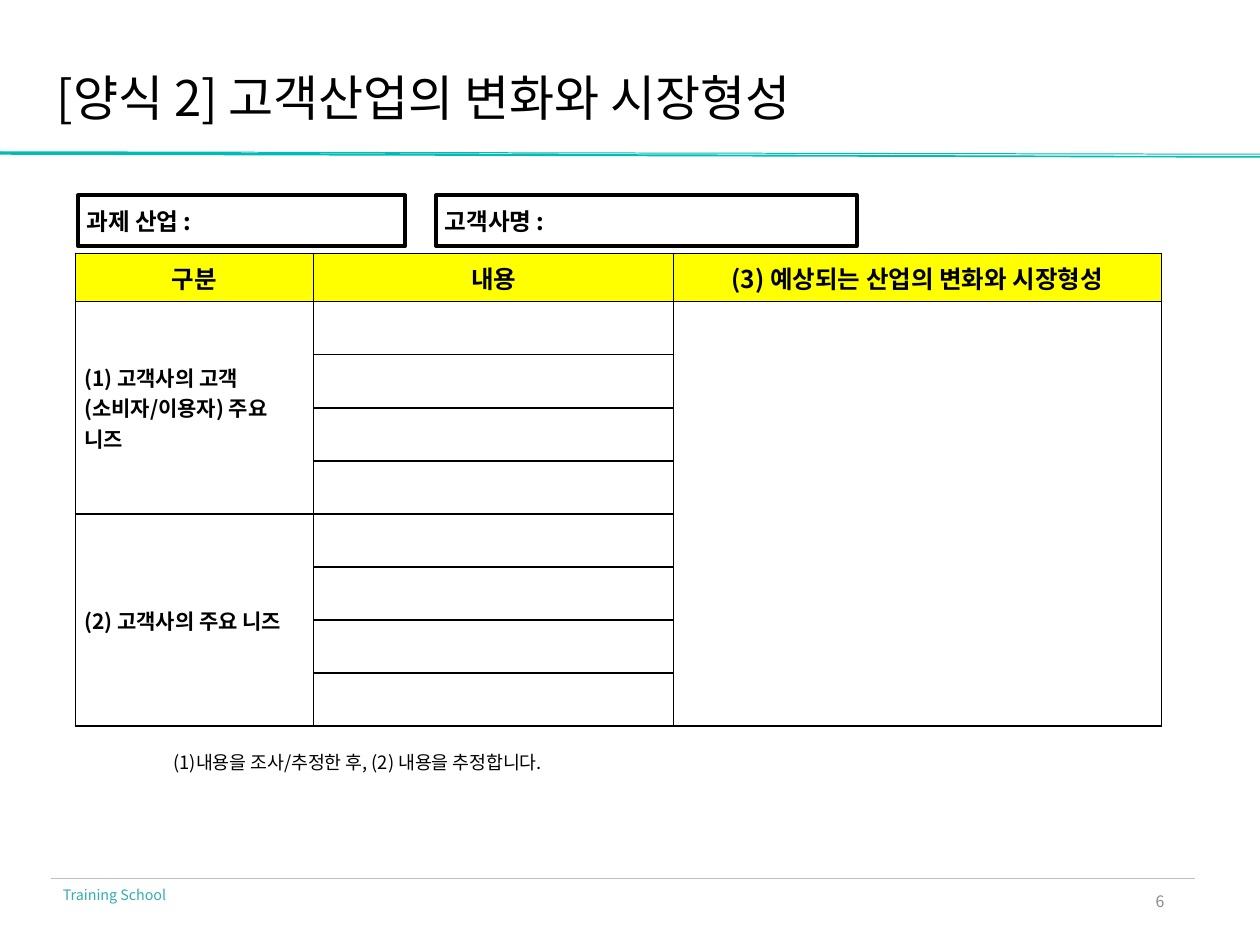
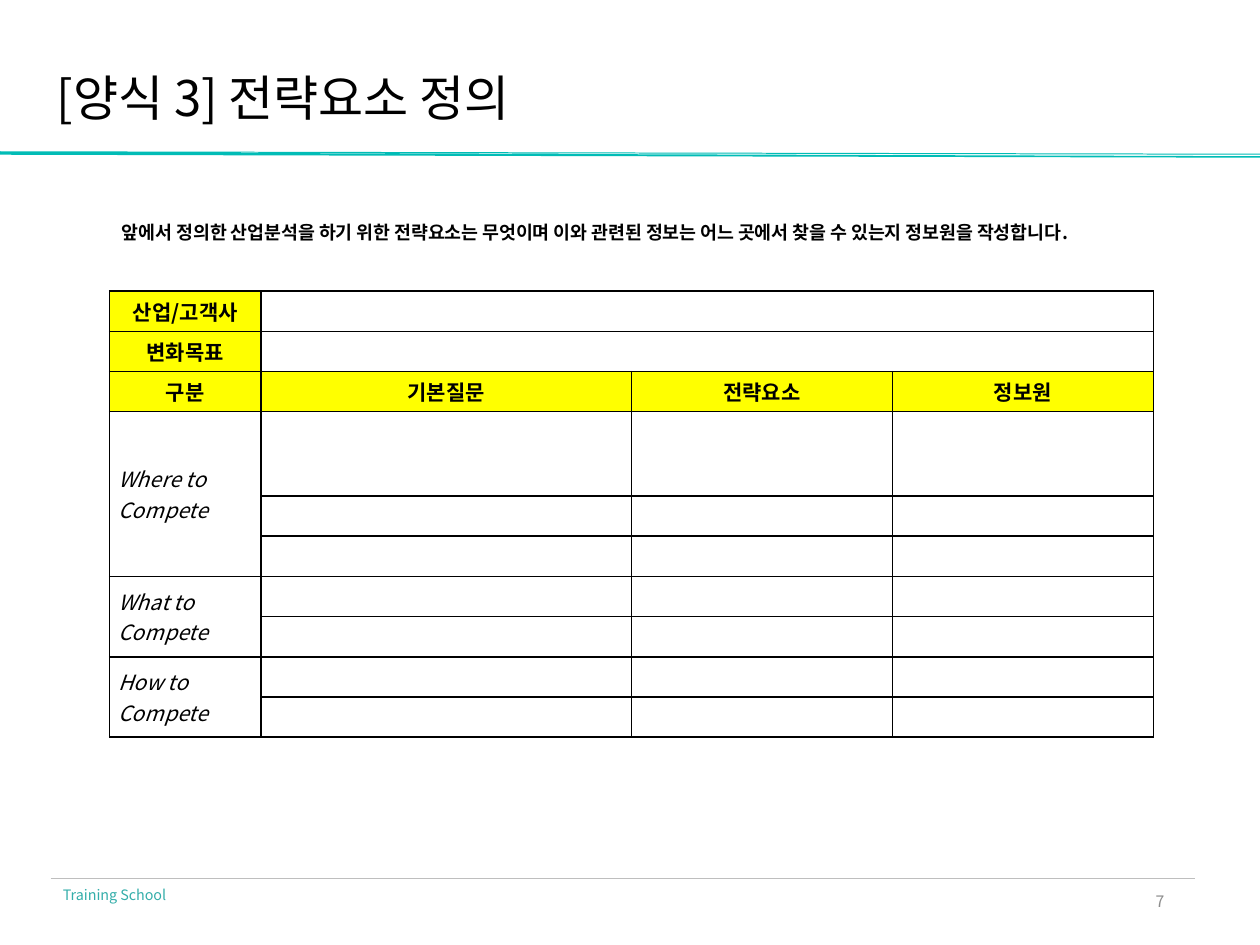
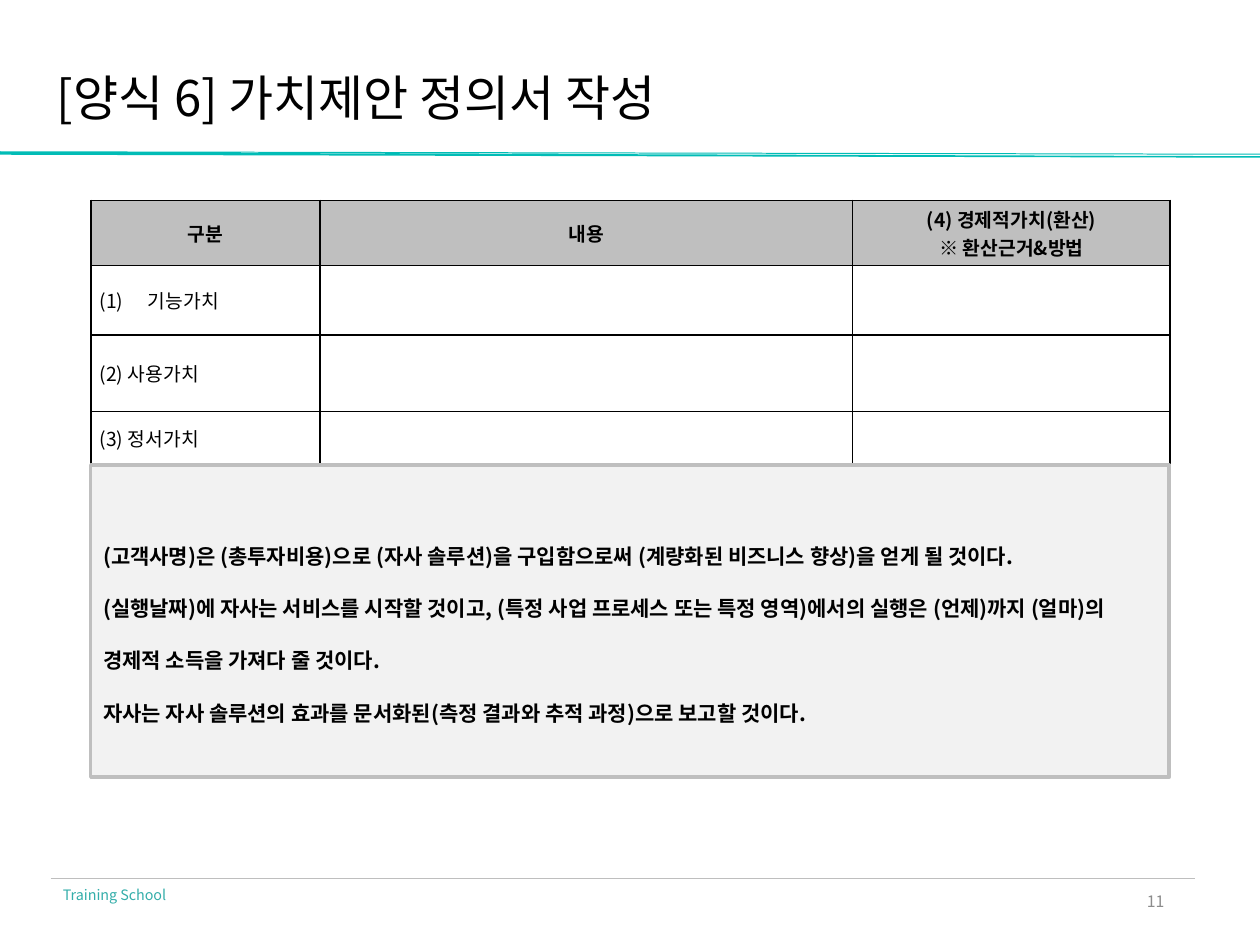
import dataclasses
import lxml.etree
import pptx
import pptx.dml.color
import pptx.enum.shapes
import pptx.enum.text
import pptx.oxml.ns
import pptx.util

Cm = pptx.util.Cm
Pt = pptx.util.Pt
qn = pptx.oxml.ns.qn
ALIGN = pptx.enum.text.PP_ALIGN
ANCHOR = pptx.enum.text.MSO_ANCHOR


@dataclasses.dataclass(frozen=True)
class Theme:
    font: str = "Noto Sans CJK KR"
    ink: str = "000000"
    teal: str = "01BCB6"
    footer: str = "34AEAA"
    number: str = "8C8C8C"
    rule: str = "BEBEBE"
    yellow: str = "FFFF00"
    gray: str = "BFBFBF"
    pale: str = "F2F2F2"
    title_size: float = 28
    header_size: float = 14
    field_size: float = 13.5
    body_size: float = 12
    value_size: float = 11
    note_size: float = 10.5
    number_size: float = 9
    footer_size: float = 8.2


T = Theme()
TIGHT = (0.18, 0.1)
NORMAL = (0.25, 0.13)


def rgb(value):
    return pptx.dml.color.RGBColor.from_string(value)


def sub(parent, tag, **attributes):
    return lxml.etree.SubElement(parent, qn(tag), **attributes)


def write(tf, text, size=T.body_size, color=T.ink, bold=False, italic=False,
          align=ALIGN.LEFT, anchor=ANCHOR.TOP, inset=NORMAL, spacing=None):
    tf.word_wrap = True
    tf.vertical_anchor = anchor
    tf.margin_left = tf.margin_right = Cm(inset[0])
    tf.margin_top = tf.margin_bottom = Cm(inset[1])
    for i, line in enumerate(text.split("\n")):
        p = tf.add_paragraph() if i else tf.paragraphs[0]
        p.alignment = align
        if spacing:
            p.line_spacing = spacing
        r = p.add_run()
        r.text = line
        r.font.size = Pt(size)
        r.font.bold = bold
        r.font.italic = italic
        r.font.name = T.font
        r.font.color.rgb = rgb(color)
        sub(r._r.get_or_add_rPr(), "a:ea", typeface=T.font)


def add_text(s, text, box, **style):
    tb = s.shapes.add_textbox(*map(Cm, box))
    write(tb.text_frame, text, **style)


def add_box(s, text, box, line, width, fill=None, **style):
    sp = s.shapes.add_shape(pptx.enum.shapes.MSO_SHAPE.RECTANGLE, *map(Cm, box))
    sp.shadow.inherit = False
    if fill:
        sp.fill.solid()
        sp.fill.fore_color.rgb = rgb(fill)
    else:
        sp.fill.background()
    sp.line.color.rgb = rgb(line)
    sp.line.width = Pt(width)
    write(sp.text_frame, text, bold=True, anchor=ANCHOR.MIDDLE, **style)


def add_title_band(s):
    upper = [(0, 3.05), (0, 3.07), (25.4, 3.12), (25.4, 3.1)]
    lower = [(0, 3.07), (0, 3.12), (25.4, 3.18), (25.4, 3.15)]
    lower, upper = [[(Cm(x), Cm(y)) for x, y in edge] for edge in (lower, upper)]
    fb = s.shapes.build_freeform(*lower[0])
    fb.add_line_segments(lower[1:], close=True)
    fb.move_to(*upper[0])
    fb.add_line_segments(upper[1:], close=True)
    sp = fb.convert_to_shape()
    sp.shadow.inherit = False
    sp.fill.solid()
    sp.fill.fore_color.rgb = rgb(T.teal)
    sp.line.fill.background()


def add_footer(s, number):
    cx = s.shapes.add_connector(pptx.enum.shapes.MSO_CONNECTOR.STRAIGHT,
                                Cm(1.02), Cm(17.7), Cm(24.08), Cm(17.7))
    cx.line.color.rgb = rgb(T.rule)
    cx.line.width = Pt(0.5)
    sub(cx._element.spPr, "a:effectLst")
    add_text(s, "Training School", (1.02, 17.73, 4, 0.61), size=T.footer_size, color=T.footer)
    add_text(s, str(number), (17.93, 17.65, 5.72, 1.02), size=T.number_size, color=T.number,
             align=ALIGN.RIGHT, anchor=ANCHOR.MIDDLE, inset=TIGHT)


def add_form_slide(prs, title, number):
    s = prs.slides.add_slide(prs.slide_layouts[5])
    add_title_band(s)
    add_footer(s, number)
    sp = s.shapes.title
    sp.left, sp.top, sp.width, sp.height = map(Cm, (1.14, 1.35, 22.94, 1.19))
    write(sp.text_frame, title, size=T.title_size, anchor=ANCHOR.MIDDLE, inset=(0, 0))
    return s


def add_borders(cell):
    tcPr = cell._tc.get_or_add_tcPr()
    for side in ("a:lnL", "a:lnR", "a:lnT", "a:lnB"):
        ln = sub(tcPr, side, w=str(Pt(1)))
        sub(sub(ln, "a:solidFill"), "a:srgbClr", val=T.ink)


def add_grid(s, left, top, cols, rows, headers, labels, spans=(), fill=T.yellow,
             header_size=T.body_size, label_style=None):
    frame = s.shapes.add_table(len(rows), len(cols), Cm(left), Cm(top),
                               Cm(sum(cols)), Cm(sum(rows)))
    table = frame.table
    table.first_row = table.horz_banding = False
    for col, width in zip(table.columns, cols):
        col.width = Cm(width)
    for row, height in zip(table.rows, rows):
        row.height = Cm(height)
    for r, c, height, width in spans:
        table.cell(r, c).merge(table.cell(r + height - 1, c + width - 1))
    for r in range(len(rows)):
        for c in range(len(cols)):
            cell = table.cell(r, c)
            add_borders(cell)
            cell.fill.background()
            cell.margin_left = cell.margin_right = Cm(TIGHT[0])
            cell.margin_top = cell.margin_bottom = Cm(TIGHT[1])
            cell.vertical_anchor = ANCHOR.MIDDLE
            if (r, c) in headers:
                cell.fill.solid()
                cell.fill.fore_color.rgb = rgb(fill)
                write_cell(cell, headers[r, c], size=header_size, bold=True, align=ALIGN.CENTER)
            elif c == 0 and r in labels:
                write_cell(cell, labels[r], **(label_style or {}))
            else:
                sub(cell.text_frame.paragraphs[0]._p, "a:endParaRPr", sz=str(T.body_size * 100))
    return table


def write_cell(cell, text, **style):
    write(cell.text_frame, text, anchor=ANCHOR.MIDDLE, inset=TIGHT, **style)
    cell.vertical_anchor = ANCHOR.MIDDLE


def number_item(cell):
    pPr = cell.text_frame.paragraphs[0]._p.get_or_add_pPr()
    indent = Cm(0.97)
    pPr.set("marL", str(indent))
    pPr.set("indent", str(-indent))
    sub(pPr, "a:buFont", typeface=T.font)
    sub(pPr, "a:buAutoNum", type="arabicParenBoth")


def build_market_form(prs):
    s = add_form_slide(prs, "[양식 2] 고객산업의 변화와 시장형성", 6)
    add_grid(s, 1.52, 5.11, [4.8, 7.26, 9.83], [0.97] + [1.07] * 8,
             {(0, 0): "구분", (0, 1): "내용", (0, 2): "(3) 예상되는 산업의 변화와 시장형성"},
             {1: "(1) 고객사의 고객(소비자/이용자) 주요 니즈", 5: "(2) 고객사의 주요 니즈"},
             spans=[(1, 0, 4, 1), (5, 0, 4, 1), (1, 2, 8, 1)],
             header_size=T.header_size, label_style={"bold": True})
    add_text(s, "(1)내용을 조사/추정한 후, (2) 내용을 추정합니다.", (3.25, 15.01, 15.9, 0.71),
             size=T.note_size)
    for text, left, width in (("과제 산업 :", 1.57, 6.6), ("고객사명 :", 8.79, 8.48)):
        add_box(s, text, (left, 3.94, width, 1.02), T.ink, 2.25, size=T.field_size, inset=TIGHT)


def build_strategy_form(prs):
    s = add_form_slide(prs, "[양식 3] 전략요소 정의", 7)
    headers = {(0, 0): "산업/고객사", (1, 0): "변화목표"}
    for c, text in enumerate(("구분", "기본질문", "전략요소", "정보원")):
        headers[2, c] = text
    add_grid(s, 2.21, 5.87, [3.05, 7.47, 5.26, 5.26], [0.81] * 3 + [1.7] + [0.81] * 6, headers,
             {3: "Where to Compete", 6: "What to Compete", 8: "How to Compete"},
             spans=[(0, 1, 1, 3), (1, 1, 1, 3), (3, 0, 3, 1), (6, 0, 2, 1), (8, 0, 2, 1)],
             label_style={"italic": True})
    add_text(s, "앞에서 정의한 산업분석을 하기 위한 전략요소는 무엇이며 이와 관련된 정보는 "
                "어느 곳에서 찾을 수 있는지 정보원을 작성합니다.",
             (2.21, 4.32, 22.2, 0.71), size=T.note_size, bold=True)


def build_value_form(prs):
    s = add_form_slide(prs, "[양식 6] 가치제안 정의서 작성", 11)
    table = add_grid(s, 1.83, 4.04, [4.62, 10.74, 6.4], [1.31, 1.4, 1.55, 1.04],
                     {(0, 0): "구분", (0, 1): "내용",
                      (0, 2): "(4) 경제적가치(환산)\n※ 환산근거&방법"},
                     {1: "기능가치", 2: "(2) 사용가치", 3: "(3) 정서가치"},
                     fill=T.gray, header_size=T.value_size, label_style={"size": T.value_size})
    number_item(table.cell(1, 0))
    statement = "\n".join((
        "(고객사명)은 (총투자비용)으로 (자사 솔루션)을 구입함으로써 "
        "(계량화된 비즈니스 향상)을 얻게 될 것이다.",
        "(실행날짜)에 자사는 서비스를 시작할 것이고, (특정 사업 프로세스 또는 특정 영역)에서의 "
        "실행은 (언제)까지 (얼마)의 경제적 소득을 가져다 줄 것이다.",
        "자사는 자사 솔루션의 효과를 문서화된(측정 결과와 추적 과정)으로 보고할 것이다."))
    add_box(s, statement, (1.83, 9.37, 21.74, 6.3), T.gray, 2, fill=T.pale, spacing=2.07)


def main():
    prs = pptx.Presentation()
    prs.slide_width, prs.slide_height = Cm(25.4), Cm(19.05)
    build_market_form(prs)
    build_strategy_form(prs)
    build_value_form(prs)
    prs.save("out.pptx")


if __name__ == "__main__":
    main()
